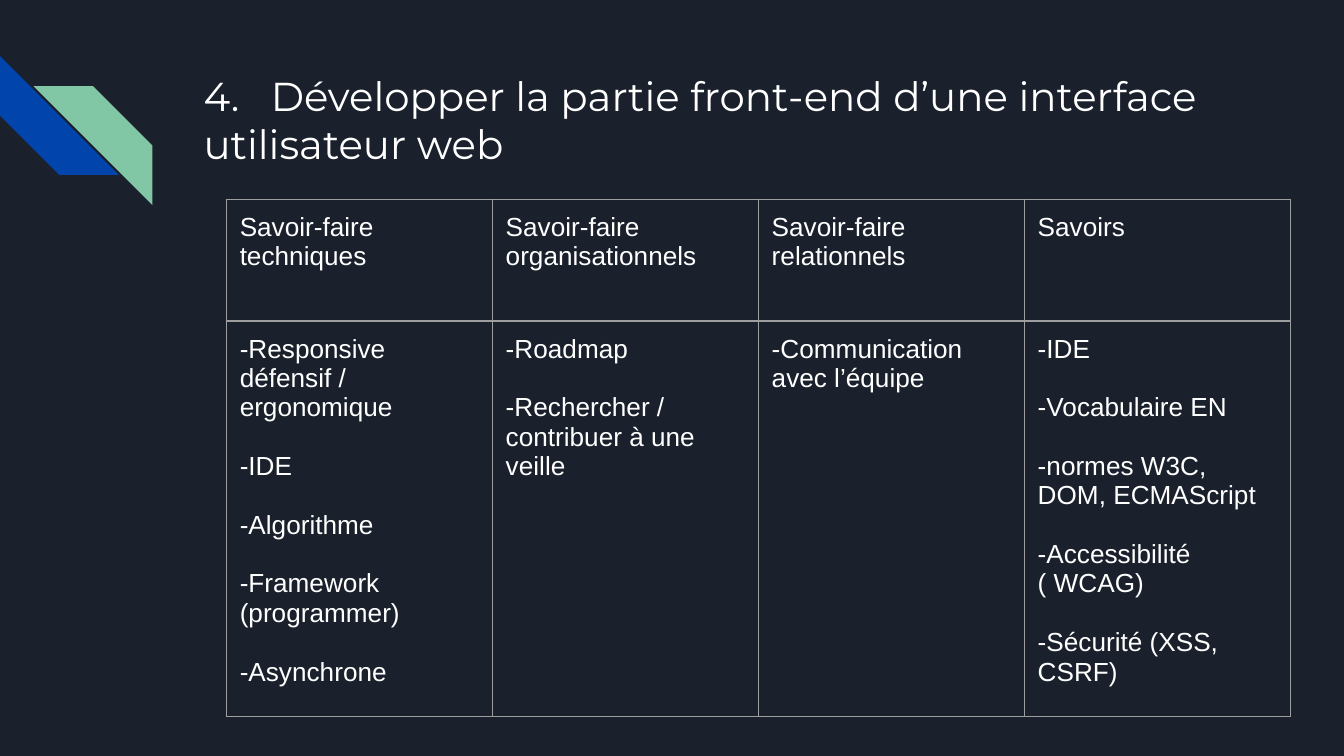
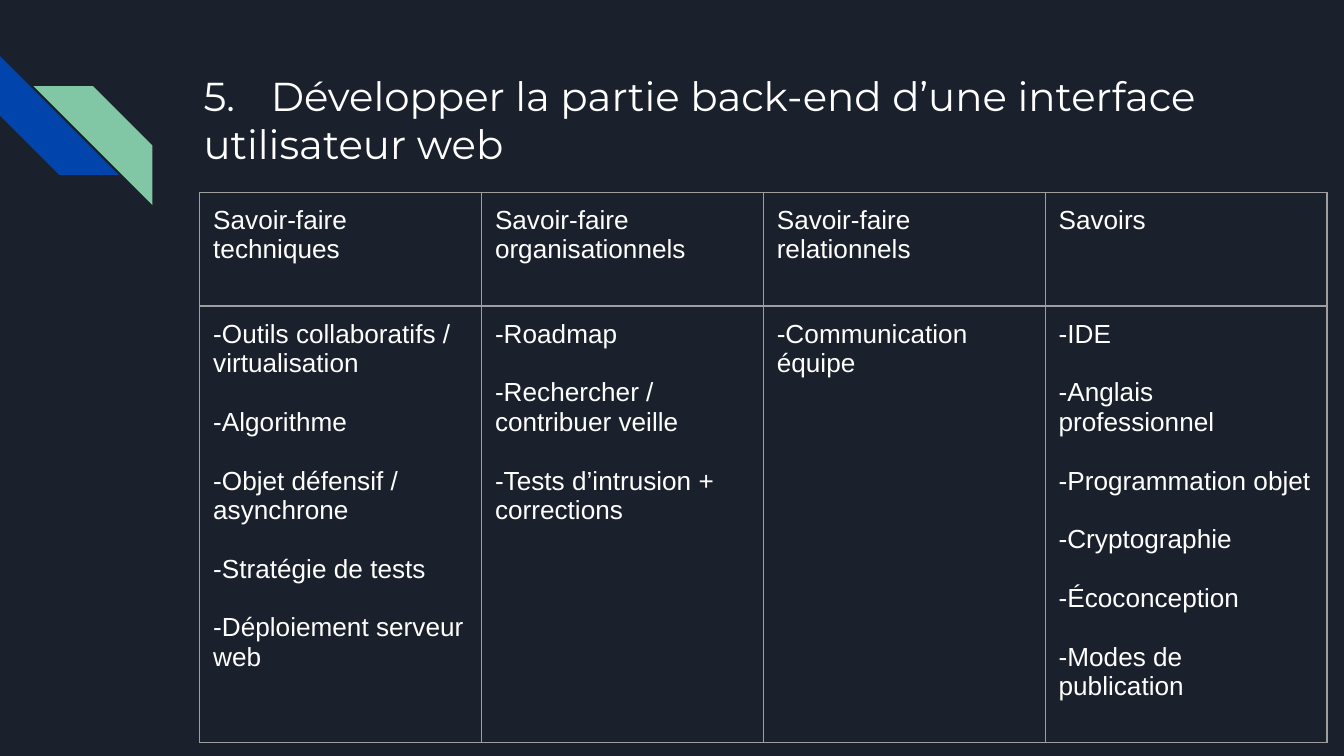
from lxml import etree
from pptx import Presentation
from pptx import util as u
from pptx.dml.color import RGBColor
from pptx.enum import shapes, text
from pptx.oxml import ns

Pt = u.Pt

HEADS = ["Savoir-faire techniques", "Savoir-faire organisationnels",
         "Savoir-faire relationnels", "Savoirs"]

PAGES = [
    {
        "title": "4.\tDévelopper la partie front-end d’une interface utilisateur web",
        "left": 121.25, "top": 106.75, "col": 142.5, "rows": (65.25, 167),
        "skills": [
            ["-Responsive défensif / ergonomique", "-IDE", "-Algorithme",
             "-Framework (programmer)", "-Asynchrone"],
            ["-Roadmap", "-Rechercher / contribuer à une veille"],
            ["-Communication avec l’équipe"],
            ["-IDE", "-Vocabulaire EN", "-normes W3C, DOM, ECMAScript",
             "-Accessibilité ( WCAG)", "-Sécurité (XSS, CSRF)"],
        ],
    },
    {
        "title": "5.\tDévelopper la partie back-end d’une interface utilisateur web",
        "left": 107, "top": 103, "col": 151, "rows": (61, 234),
        "skills": [
            ["-Outils collaboratifs / virtualisation", "-Algorithme",
             "-Objet défensif / asynchrone", "-Stratégie de tests",
             "-Déploiement serveur web"],
            ["-Roadmap", "-Rechercher / contribuer veille",
             "-Tests d’intrusion + corrections"],
            ["-Communication équipe"],
            ["-IDE", "-Anglais professionnel", "-Programmation objet",
             "-Cryptographie", "-Écoconception", "-Modes de publication"],
        ],
    },
]

HUES = {"back": "1B212C", "blue": "0145AC", "green": "82C7A5",
        "text": "FFFFFF", "rule": "9E9E9E"}
INSET = 7.2
STRIPE = 63.7


def hue(name):
    return RGBColor.from_string(HUES[name])


def write(frame, lines, size=14, font="Arial", color="text", gap=15.7):
    """Fill a text frame, one paragraph a line, with a gap between them."""
    frame.word_wrap = True
    for i, line in enumerate(lines):
        para = frame.add_paragraph() if i else frame.paragraphs[0]
        if i:
            para.space_before = Pt(gap)
        run = para.add_run()
        run.text = line
        run.font.size = Pt(size)
        run.font.name = font
        run.font.color.rgb = hue(color)


def pad(box):
    box.margin_left = box.margin_right = Pt(INSET)
    box.margin_top = box.margin_bottom = Pt(INSET)
    box.vertical_anchor = text.MSO_ANCHOR.TOP


def stripe(slide, left, top, color, turn=0, flip=False):
    shape = slide.shapes.add_shape(
        shapes.MSO_SHAPE.DIAGONAL_STRIPE, Pt(left), Pt(top), Pt(STRIPE), Pt(STRIPE))
    shape.adjustments[0] = 0.5
    shape.shadow.inherit = False
    shape.fill.solid()
    shape.fill.fore_color.rgb = hue(color)
    shape.line.fill.background()
    shape.rotation = turn
    if flip:
        shape.element.spPr.find(ns.qn("a:xfrm")).set("flipH", "1")


def border(cell, width=0.75):
    props = cell._tc.get_or_add_tcPr()
    for i, side in enumerate(("lnL", "lnR", "lnT", "lnB")):
        line = etree.Element(ns.qn(f"a:{side}"), w=str(Pt(width)))
        fill = etree.SubElement(line, ns.qn("a:solidFill"))
        etree.SubElement(fill, ns.qn("a:srgbClr"), val=HUES["rule"])
        props.insert(i, line)


def base(deck, title):
    """Add a slide with the shared background, stripes and title."""
    slide = deck.slides.add_slide(deck.slide_layouts[6])
    slide.background.fill.solid()
    slide.background.fill.fore_color.rgb = hue("back")
    stripe(slide, 0, 30, "blue", turn=270)
    stripe(slide, 18, 46.2, "green", flip=True)
    frame = slide.shapes.add_textbox(Pt(102), Pt(31), Pt(554.5), Pt(72)).text_frame
    pad(frame)
    write(frame, [title], size=21.6, font="Montserrat")
    return slide


def grid(slide, page):
    cells = [[[head] for head in HEADS], page["skills"]]
    table = slide.shapes.add_table(
        len(cells), len(HEADS), Pt(page["left"]), Pt(page["top"]),
        Pt(page["col"] * len(HEADS)), Pt(sum(page["rows"]))).table
    table.first_row = table.horz_banding = False
    for col in table.columns:
        col.width = Pt(page["col"])
    for r, row in enumerate(cells):
        table.rows[r].height = Pt(page["rows"][r])
        for c, lines in enumerate(row):
            cell = table.cell(r, c)
            cell.fill.background()
            pad(cell)
            border(cell)
            write(cell.text_frame, lines)


def main():
    deck = Presentation()
    deck.slide_width, deck.slide_height = Pt(720), Pt(405)
    for page in PAGES:
        grid(base(deck, page["title"]), page)
    deck.save("out.pptx")


if __name__ == "__main__":
    main()
